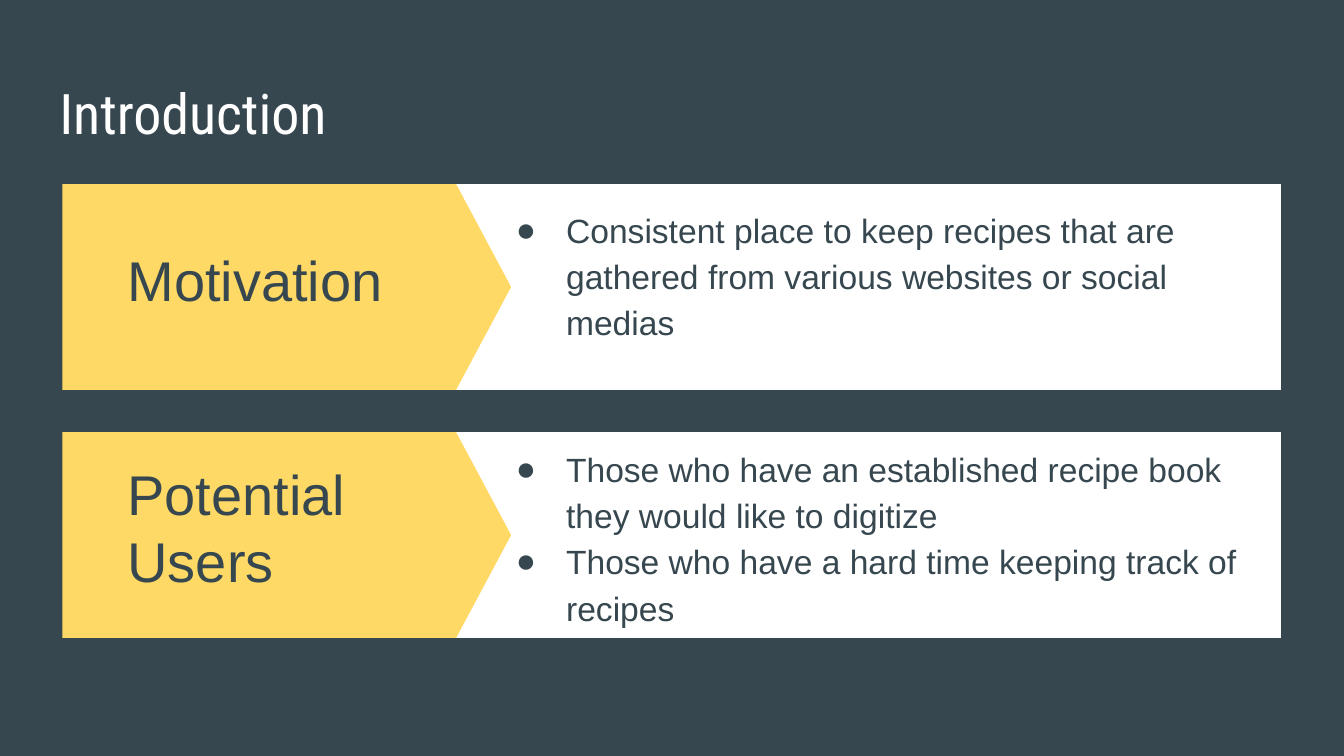
import pptx
import pptx.util
import pptx.dml.color
import pptx.enum.shapes
import pptx.enum.text
import pptx.oxml

Cm = pptx.util.Cm
Pt = pptx.util.Pt
DARK, WHITE, GOLD = "37474F", "FFFFFF", "FFD966"
NS = 'xmlns:a="http://schemas.openxmlformats.org/drawingml/2006/main"'


def paint(color, tone):
    color.rgb = pptx.dml.color.RGBColor.from_string(tone)


def place(shape, *box):
    shape.left, shape.top, shape.width, shape.height = map(Cm, box)


def frame(shape, anchor):
    text = shape.text_frame
    text.word_wrap = True
    text.auto_size = pptx.enum.text.MSO_AUTO_SIZE.NONE
    text.vertical_anchor = anchor
    text.margin_left = text.margin_right = Cm(0.25)
    text.margin_top = text.margin_bottom = Cm(0.25)
    return text


def write(para, words, size, tone, face="Arial"):
    para.alignment = pptx.enum.text.PP_ALIGN.LEFT
    run = para.add_run()
    run.text = words
    run.font.size = Pt(size)
    run.font.name = face
    paint(run.font.color, tone)


def bullet(para):
    para.line_spacing = 1.15
    props = para._p.get_or_add_pPr()
    props.set("marL", str(Cm(1.27)))
    props.set("indent", str(-Cm(0.95)))
    for xml in (f'<a:buClr {NS}><a:srgbClr val="{DARK}"/></a:buClr>',
                f'<a:buFont {NS} typeface="Arial"/>',
                f'<a:buChar {NS} char="●"/>'):
        props.append(pptx.oxml.parse_xml(xml))


def block(group, kind, tone, *box):
    shape = group.shapes.add_shape(kind, *map(Cm, box))
    shape.shadow.inherit = False
    shape.fill.solid()
    paint(shape.fill.fore_color, tone)
    shape.line.fill.background()
    return shape


def textbox(slide, *box):
    shape = slide.shapes.add_textbox(*map(Cm, box))
    return frame(shape, pptx.enum.text.MSO_ANCHOR.MIDDLE)


def banner(slide, top, label, items, drop):
    kinds = pptx.enum.shapes.MSO_SHAPE
    group = slide.shapes.add_group_shape()
    block(group, kinds.RECTANGLE, WHITE, 8.13, top, 16.08, 3.89)
    arrow = block(group, kinds.PENTAGON, GOLD, 1.18, top, 8.48, 3.89)
    arrow.adjustments[0] = 0.267
    head = textbox(slide, 2.16, top + 0.85, 5.56, 1.88)
    write(head.paragraphs[0], label, 30, DARK)
    body = textbox(slide, 9.18, top + drop, 15.03, 3.07)
    for i, item in enumerate(items):
        para = body.add_paragraph() if i else body.paragraphs[0]
        bullet(para)
        write(para, item, 18, DARK)


def main():
    deck = pptx.Presentation()
    deck.slide_width, deck.slide_height = Cm(25.4), Cm(14.29)
    slide = deck.slides.add_slide(deck.slide_layouts[5])
    slide.background.fill.solid()
    paint(slide.background.fill.fore_color, DARK)
    title = slide.shapes.title
    place(title, 0.87, 1.24, 23.67, 1.6)
    text = frame(title, pptx.enum.text.MSO_ANCHOR.TOP)
    write(text.paragraphs[0], "Introduction", 30, WHITE, "Roboto Condensed")
    rows = [
        ("Motivation",
         ["Consistent place to keep recipes that are gathered from "
          "various websites or social medias"], 0.15),
        ("Potential Users",
         ["Those who have an established recipe book they would like to digitize",
          "Those who have a hard time keeping track of recipes"], 0.41),
    ]
    for i, (label, items, drop) in enumerate(rows):
        banner(slide, 3.48 + 4.69 * i, label, items, drop)
    deck.save("out.pptx")


main()
